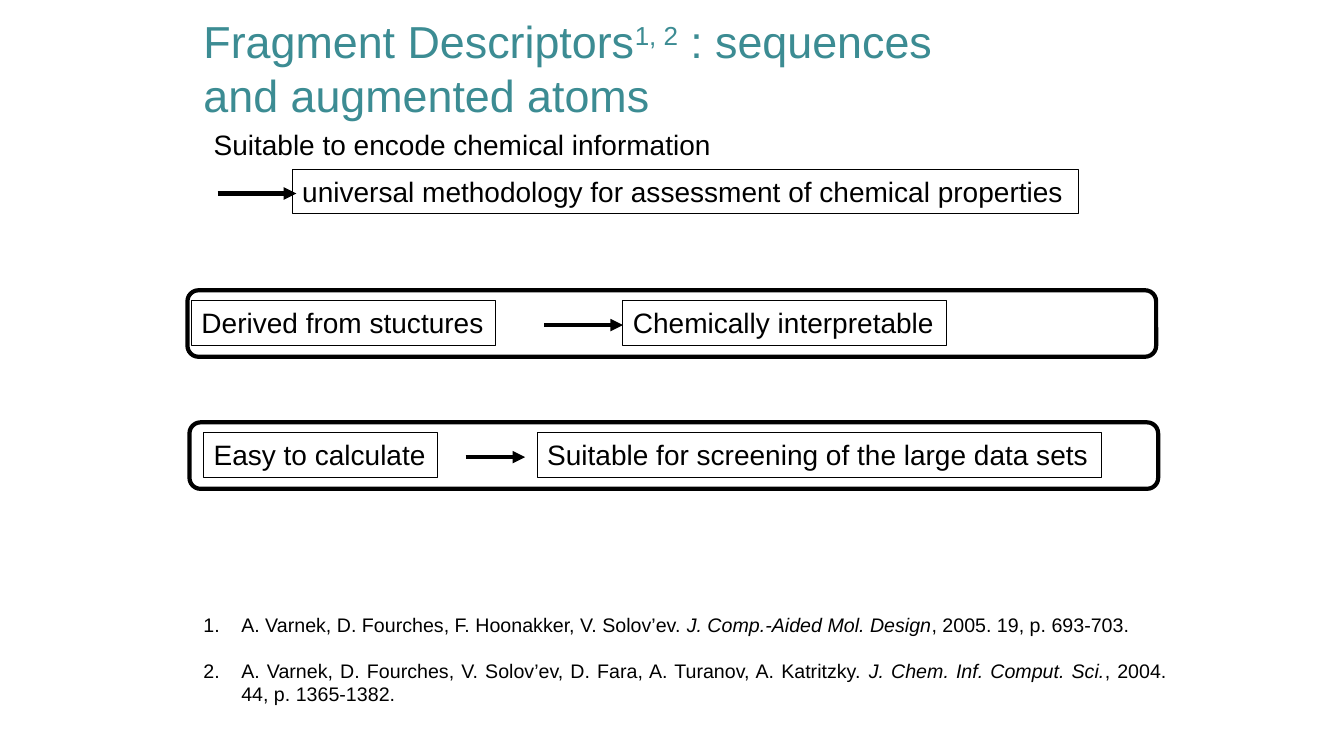
import pptx
import pptx.dml.color
import pptx.enum.shapes
import pptx.enum.text
import pptx.oxml.ns
import pptx.util
from dataclasses import dataclass
from lxml import etree


@dataclass(frozen=True)
class Theme:
    font: str = "Arial"
    ink: str = "000000"
    accent: str = "3C8C93"
    title_size: int = 32
    body_size: int = 20
    reference_size: int = 14
    thin: float = 0.75
    thick: float = 3


def assign(target, values):
    for name, value in values.items():
        setattr(target, name, value)


def colour(value):
    return pptx.dml.color.RGBColor.from_string(value)


class Board:
    COLUMNS, ROWS = 133.33, 75
    LABEL_HEIGHT = 4.4

    def __init__(self, deck, theme):
        self.theme = theme
        self.column = deck.slide_width / self.COLUMNS
        self.row = deck.slide_height / self.ROWS
        self.slide = deck.slides.add_slide(deck.slide_layouts[6])
        self.layer = self.slide.shapes

    def place(self, left, top, width, height):
        return [round(value * unit) for value, unit in
                zip((left, top, width, height), (self.column, self.row) * 2)]

    def outline(self, line, weight):
        line.color.rgb = colour(self.theme.ink)
        line.width = pptx.util.Pt(weight)

    def add_runs(self, paragraph, runs, size, ink):
        for words, values, baseline in runs:
            run = paragraph.add_run()
            run.text = words
            assign(run.font, {"name": self.theme.font, "size": pptx.util.Pt(size), **values})
            run.font.color.rgb = colour(ink)
            if baseline:
                run._r.get_or_add_rPr().set("baseline", str(baseline))

    def text(self, area, paragraphs, size, ink=None, wrap=True):
        box = self.layer.add_textbox(*self.place(*area))
        assign(box.text_frame, {
            "word_wrap": wrap,
            "auto_size": pptx.enum.text.MSO_AUTO_SIZE.SHAPE_TO_FIT_TEXT,
        })
        for index, runs in enumerate(paragraphs):
            paragraph = box.text_frame.add_paragraph() if index else box.text_frame.paragraphs[0]
            self.add_runs(paragraph, runs, size, ink or self.theme.ink)
        return box

    def label(self, left, top, width, words, boxed=True):
        label = self.text((left, top, width, self.LABEL_HEIGHT), [[(words, {}, 0)]],
                          self.theme.body_size, wrap=False)
        if boxed:
            self.outline(label.line, self.theme.thin)

    def frame(self, *area):
        kind = pptx.enum.shapes.MSO_SHAPE.ROUNDED_RECTANGLE
        frame = self.layer.add_shape(kind, *self.place(*area))
        frame.shadow.inherit = False
        frame.fill.background()
        self.outline(frame.line, self.theme.thick)

    def arrow(self, start, end, level):
        x1, y, x2, _ = self.place(start, level, end, level)
        kind = pptx.enum.shapes.MSO_CONNECTOR.STRAIGHT
        arrow = self.layer.add_connector(kind, x1, y, x2, y)
        self.outline(arrow.line, self.theme.thick)
        qn = pptx.oxml.ns.qn
        etree.SubElement(arrow.line._get_or_add_ln(), qn("a:tailEnd"), type="triangle")
        etree.SubElement(arrow._element.spPr, qn("a:effectLst"))

    def implication(self, left, top, cause, arrow, effect):
        self.layer = self.slide.shapes.add_group_shape().shapes
        self.frame(left, top, 96.1, 6.6)
        for start, width, words in (cause, effect):
            self.label(start, top + 1.05, width, words)
        self.arrow(*arrow, top + 3.45)
        self.layer = self.slide.shapes

    def references(self, area, entries):
        box = self.text(area, entries, self.theme.reference_size)
        indent = round(3.75 * self.column)
        for index, paragraph in enumerate(box.text_frame.paragraphs):
            assign(paragraph, {
                "alignment": pptx.enum.text.PP_ALIGN.JUSTIFY,
                "space_before": pptx.util.Pt(16 if index else 0),
            })
            properties = paragraph._p.get_or_add_pPr()
            properties.set("marL", str(indent))
            properties.set("indent", str(-indent))
            etree.SubElement(properties, pptx.oxml.ns.qn("a:buAutoNum"), type="arabicPeriod")


def main():
    deck = pptx.Presentation()
    assign(deck, {"slide_width": pptx.util.Inches(13.33), "slide_height": pptx.util.Inches(7.5)})
    theme = Theme()
    board = Board(deck, theme)
    italic = {"italic": True}

    board.references((19.2, 60.3, 97.5, 10.4), [
        [("A. Varnek, D. Fourches, F. Hoonakker, V. Solov’ev. ", {}, 0),
         ("J. Comp.-Aided Mol. Design", italic, 0),
         (", 2005. 19, p. 693-703.", {}, 0)],
        [("A. Varnek, D. Fourches, V. Solov’ev, D. Fara, A. Turanov, A. Katritzky. ", {}, 0),
         ("J. Chem. Inf. Comput. Sci.", italic, 0),
         (", 2004. 44, p. 1365-1382.", {}, 0)],
    ])
    board.label(29, 16.8, 78, "universal methodology for assessment of chemical properties")
    board.arrow(21.6, 29.4, 19.2)
    board.label(20.2, 12.2, 51.7, "Suitable to encode chemical information", boxed=False)
    board.implication(18.8, 41.9, (20.2, 23.2, "Easy to calculate"), (46.2, 52.1),
                      (53.3, 56, "Suitable for screening of the large data sets"))
    board.implication(18.6, 28.8, (19, 30.2, "Derived from stuctures"), (54, 61.8),
                      (61.8, 32.1, "Chemically interpretable"))
    board.text((19.2, 0.9, 74.7, 11.8), [[
        ("Fragment Descriptors", {}, 0),
        ("1, 2", {}, 30000),
        (" : sequences and augmented atoms", {}, 0),
    ]], theme.title_size, theme.accent)
    deck.save("out.pptx")


if __name__ == "__main__":
    main()
